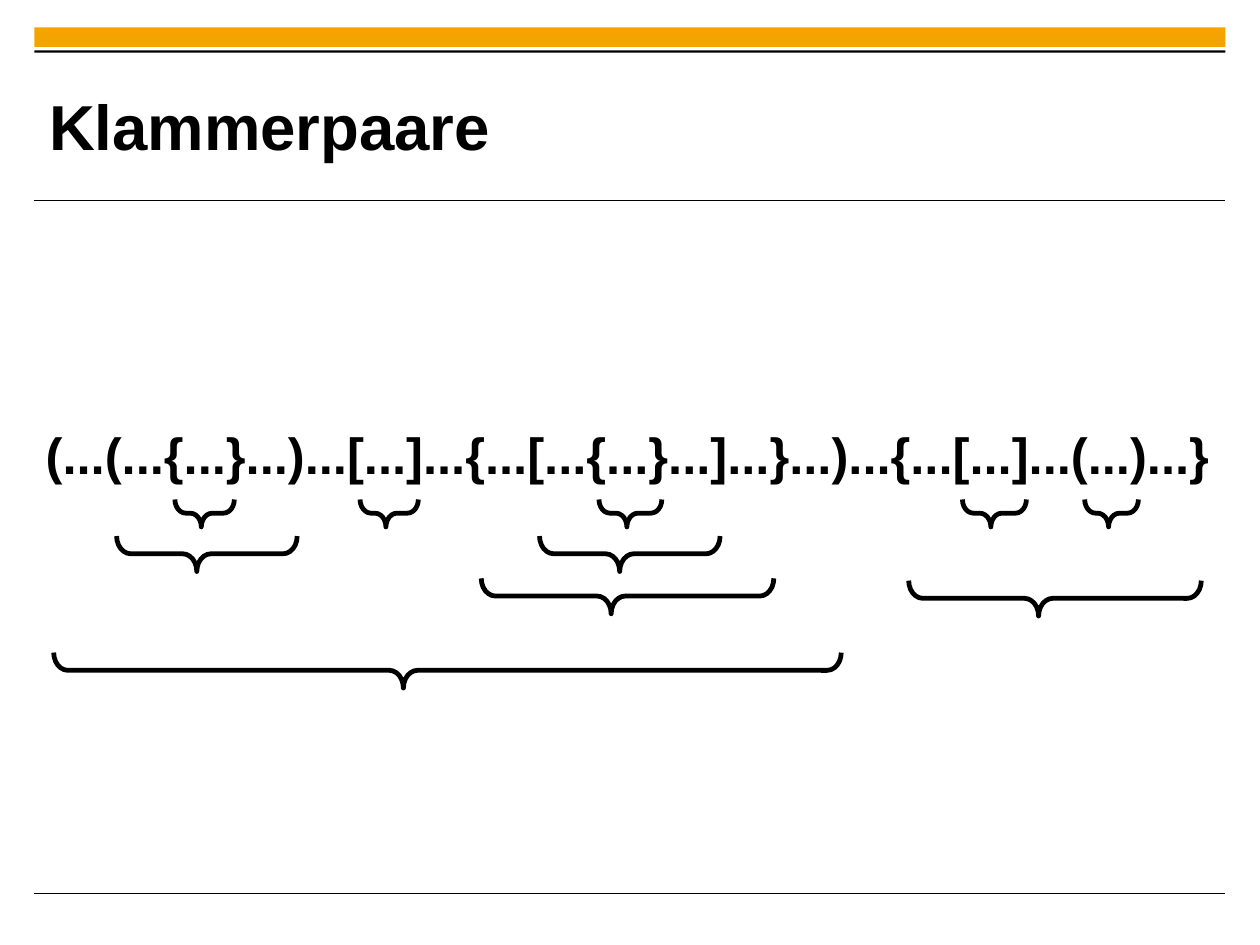
from typing import NamedTuple

from lxml import etree
from pptx import Presentation
from pptx.dml.color import RGBColor
from pptx.enum.shapes import MSO_CONNECTOR, MSO_SHAPE
from pptx.enum.text import MSO_ANCHOR, PP_ALIGN
from pptx.oxml.ns import qn
from pptx.util import Inches, Pt

RECTANGLE = MSO_SHAPE.RECTANGLE
RIGHT_BRACE = MSO_SHAPE.RIGHT_BRACE
STRAIGHT = MSO_CONNECTOR.STRAIGHT
LEFT = PP_ALIGN.LEFT
TOP, MIDDLE = MSO_ANCHOR.TOP, MSO_ANCHOR.MIDDLE

COLORS = {"accent": "F5A300", "ink": "000000"}
FONT = "Arial"
CM_PER_INCH = 2.54
MARGIN, CONTENT_WIDTH = 0.3, 10.42
CURVE, TIP = 0.4, 0.556


class Bar(NamedTuple):
    top: float
    height: float
    color: str


class Brace(NamedTuple):
    left: float
    right: float
    top: float
    depth: float


BARS = [Bar(0.24, 0.17, "accent"), Bar(0.44, 0.02, "ink")]
RULES = [1.75, 7.82]
INNER, MIDDLE_LEVEL = (4.37, 0.24), (4.69, 0.31)
BRACES = [
    Brace(5.24, 5.79, *INNER),
    Brace(1.53, 2.05, *INNER),
    Brace(3.15, 3.66, *INNER),
    Brace(8.42, 8.98, *INNER),
    Brace(9.49, 9.96, *INNER),
    Brace(1.02, 2.6, *MIDDLE_LEVEL),
    Brace(4.72, 6.3, *MIDDLE_LEVEL),
    Brace(4.21, 6.77, 5.06, 0.31),
    Brace(7.95, 10.51, 5.08, 0.31),
    Brace(0.47, 7.36, 5.71, 0.31),
]


def rgb(name: str) -> RGBColor:
    return RGBColor.from_string(COLORS[name])


def add_bar(s, bar: Bar) -> None:
    sp = s.shapes.add_shape(RECTANGLE, Inches(MARGIN), Inches(bar.top),
                            Inches(CONTENT_WIDTH), Inches(bar.height))
    sp.shadow.inherit = False
    sp.fill.solid()
    sp.fill.fore_color.rgb = rgb(bar.color)
    sp.line.fill.background()


def add_rule(s, y: float) -> None:
    line = s.shapes.add_connector(STRAIGHT, Inches(MARGIN), Inches(y),
                                  Inches(MARGIN + CONTENT_WIDTH), Inches(y))
    line.line.color.rgb = rgb("ink")
    line.line.width = Pt(0.6)
    etree.SubElement(line._element.spPr, qn("a:effectLst"))


def add_brace(s, brace: Brace) -> None:
    """Turn a right brace by 90 degrees so that its tip points down."""
    span = brace.right - brace.left
    center_x = (brace.left + brace.right) / 2
    center_y = brace.top + brace.depth / 2
    sp = s.shapes.add_shape(RIGHT_BRACE, Inches(center_x - brace.depth / 2),
                            Inches(center_y - span / 2),
                            Inches(brace.depth), Inches(span))
    sp.rotation = 90
    sp.adjustments[0] = CURVE
    sp.adjustments[1] = TIP
    sp.shadow.inherit = False
    sp.fill.background()
    sp.line.color.rgb = rgb("ink")
    sp.line.width = Pt(3)


def set_text(sp, text: str, *, size: float, anchor: MSO_ANCHOR = TOP,
             inset_x: float = 0, inset_y: float = 0, before: float = 0) -> None:
    tf = sp.text_frame
    tf.word_wrap = True
    tf.vertical_anchor = anchor
    tf.margin_left = tf.margin_right = Inches(inset_x)
    tf.margin_top = tf.margin_bottom = Inches(inset_y)
    p = tf.paragraphs[0]
    p.alignment = LEFT
    p.space_before = Pt(before)
    r = p.add_run()
    r.text = text
    r.font.name = FONT
    r.font.size = Pt(size)
    r.font.bold = True
    r.font.color.rgb = rgb("ink")


def main() -> None:
    prs = Presentation()
    prs.slide_width = Inches(28 / CM_PER_INCH)
    prs.slide_height = Inches(21 / CM_PER_INCH)
    s = prs.slides.add_slide(prs.slide_layouts.get_by_name("Title Only"))

    for bar in BARS:
        add_bar(s, bar)
    for y in RULES:
        add_rule(s, y)

    brackets = s.shapes.add_textbox(Inches(0.29), Inches(3.66),
                                    Inches(10.47), Inches(4.03))
    set_text(brackets,
             "(...(...{...}...)...[...]...{...[...{...}...]...}...)"
             "...{...[...]...(...)...}",
             size=32, inset_x=0.11, inset_y=0.05, before=8)

    title = s.shapes.title
    title.left, title.top = Inches(0.43), Inches(0.59)
    title.width, title.height = Inches(8.29), Inches(1.01)
    set_text(title, "Klammerpaare", size=40, anchor=MIDDLE)

    for brace in BRACES:
        add_brace(s, brace)
    prs.save("out.pptx")


if __name__ == "__main__":
    main()
